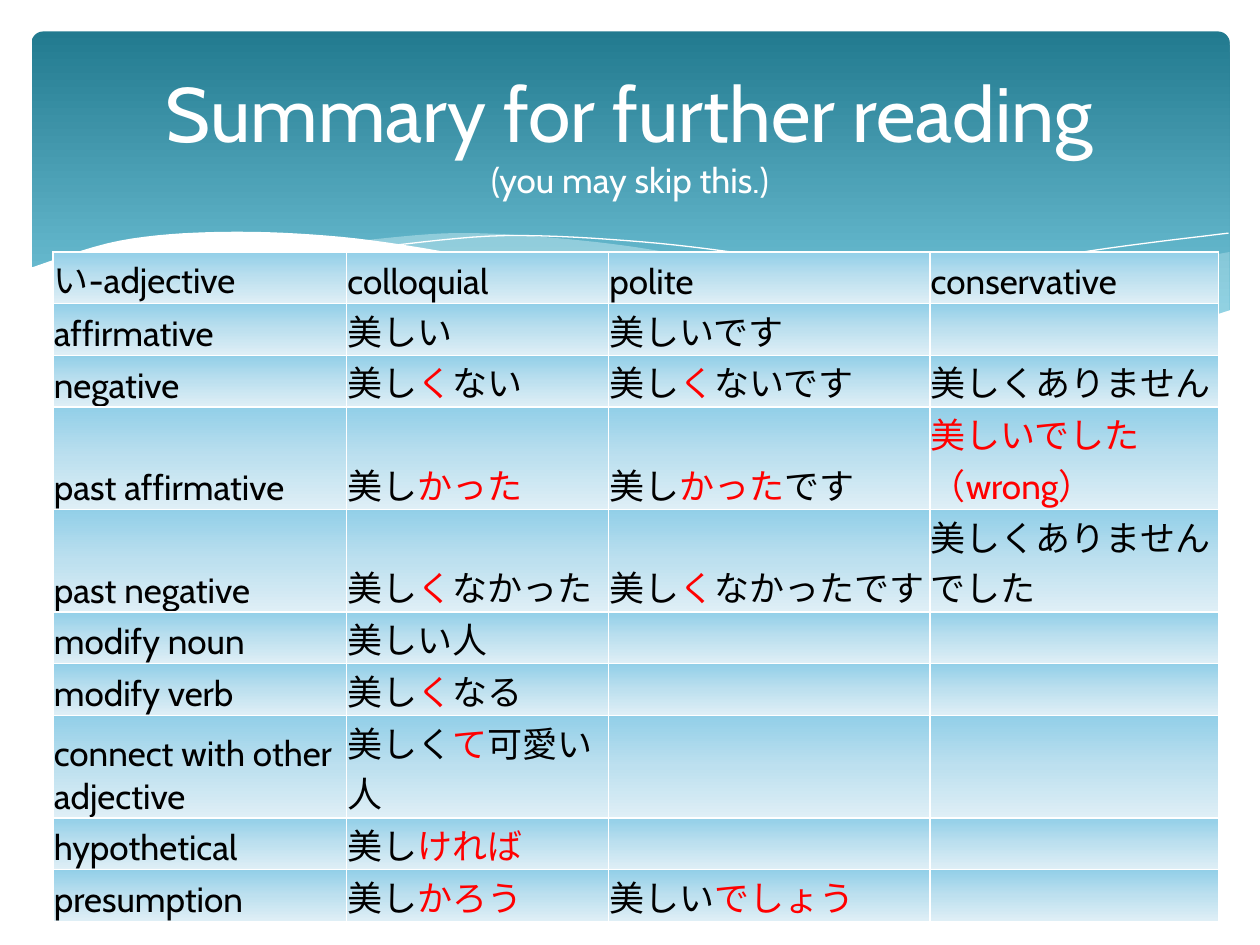
from lxml.etree import SubElement
from pptx import Presentation
from pptx.dml.color import RGBColor
from pptx.enum.shapes import MSO_SHAPE
from pptx.enum.text import MSO_ANCHOR, PP_ALIGN
from pptx.oxml.ns import qn
from pptx.util import Inches, Pt

THEME = dict(
    font="Cabin", title=44, body=20, white="FFFFFF", black="000000", red="FF0000", wave="DEF5FA",
    banner=[(0, "227A8F"), (90, "7ACBE0")],
    cell=[(0, "92CFE8"), (50, "BDE0EF"), (100, "DFEFF6")],
)
TITLE_LINES = [("Summary for further reading", "title"), ("(you may skip this.)", "body")]

# Text between bars is highlighted in red.
ROWS = [
    ("い-adjective", "colloquial", "polite", "conservative"),
    ("affirmative", "美しい", "美しいです", ""),
    ("negative", "美し|く|ない", "美し|く|ないです", "美しくありません"),
    ("past affirmative", "美し|かった|", "美し|かった|です", "|美しいでした（wrong）|"),
    ("past negative", "美し|く|なかった", "美し|く|なかったです", "美しくありませんでした"),
    ("modify noun", "美しい人", "", ""),
    ("modify verb", "美し|く|なる", "", ""),
    ("connect with other adjective", "美しく|て|可愛い人", "", ""),
    ("hypothetical", "美し|ければ|", "", ""),
    ("presumption", "美し|かろう|", "美しい|でしょう|", ""),
]
COL_WIDTHS = [2.33, 2.08, 2.55, 2.29]
ROW_HEIGHT = 0.38

# Each wave is a chain of edges; an edge is a smooth curve through a few knots, in inches.
# Filled waves have a fill and an opacity in percent; the others are thin white lines.
WAVES = [
    dict(fill="wave", opacity=29, edges=[  # right swell: crest, then underside
        [(9.76, 2), (9.06, 2.13), (8.32, 2.3), (7.53, 2.48), (6.61, 2.65)],
        [(6.61, 2.65), (7.19, 2.72), (7.81, 2.77), (8.44, 2.77), (9.05, 2.69), (9.76, 2.47)],
    ]),
    dict(fill="wave", opacity=40, edges=[  # middle swell: crest, then underside
        [(2.86, 1.91), (3.61, 1.85), (4.42, 1.89), (5.28, 2), (6.29, 2.22), (7.41, 2.47), (8.93, 2.73)],
        [(8.93, 2.73), (8.28, 2.78), (7.48, 2.76), (6.65, 2.66), (5.66, 2.48), (4.49, 2.22), (2.86, 1.91)],
    ]),
    dict(edges=[[(3.09, 1.95), (4.01, 1.87), (5.1, 1.92), (6.08, 2.04), (6.95, 2.19), (7.95, 2.41),
                 (9.07, 2.72)]]),
    dict(edges=[[(6.13, 2.57), (6.95, 2.35), (7.76, 2.16), (8.66, 1.99), (9.75, 1.85)]]),
    dict(fill="white", opacity=100, edges=[  # white foreground: crest, then flat floor
        [(0.23, 2.13), (0.95, 1.91), (1.77, 1.84), (2.71, 1.88), (3.65, 2.02), (4.47, 2.2), (5.55, 2.45),
         (6.48, 2.62), (7.26, 2.72), (8.09, 2.77), (8.99, 2.69), (9.77, 2.46)],
        [(9.77, 3.29), (0.23, 3.29)],
    ]),
]
CURVE_STEPS = 8


def rgb(value):
    return RGBColor.from_string(value)


def smooth(knots):
    """Return points on the Catmull-Rom curve through the knots."""
    ends = [knots[0], *knots, knots[-1]]
    points = [knots[0]]
    for before, start, end, after in zip(ends, ends[1:], ends[2:], ends[3:]):
        for step in range(1, CURVE_STEPS + 1):
            t = step / CURVE_STEPS
            points.append(tuple(
                b + ((c - a) * t + (2 * a - 5 * b + 4 * c - d) * t ** 2
                     + (3 * b - a - 3 * c + d) * t ** 3) / 2
                for a, b, c, d in zip(before, start, end, after)))
    return points


def add_color(parent, value):
    return SubElement(parent, qn("a:srgbClr"), val=value)


def add_gradient(props, stops):
    """Append a top-to-bottom gradient fill to a properties element."""
    grad = SubElement(props, qn("a:gradFill"), rotWithShape="1")
    stop_list = SubElement(grad, qn("a:gsLst"))
    for pos, color in stops:
        add_color(SubElement(stop_list, qn("a:gs"), pos=str(pos * 1000)), color)
    SubElement(grad, qn("a:lin"), ang="5400000", scaled="0")


def add_run(p, text, size, color):
    r = p.add_run()
    r.text = text
    for name, value in dict(name=THEME["font"], size=Pt(THEME[size])).items():
        setattr(r.font, name, value)
    r.font.color.rgb = rgb(THEME[color])


def add_banner(slide):
    sp = slide.shapes.add_shape(
        MSO_SHAPE.ROUNDED_RECTANGLE, Inches(0.25), Inches(0.25), Inches(9.51), Inches(2.7))
    sp.adjustments[0] = 0.034
    add_gradient(sp._element.spPr, THEME["banner"])
    sp.line.fill.background()
    sp.shadow.inherit = False


def add_wave(slide, edges, fill=None, opacity=100):
    points = [(Inches(x), Inches(y)) for edge in edges for x, y in smooth(edge)]
    builder = slide.shapes.build_freeform(*points[0])
    builder.add_line_segments(points[1:], close=fill is not None)
    sp = builder.convert_to_shape()
    sp.shadow.inherit = False
    if fill is None:
        sp.fill.background()
        sp.line.color.rgb = rgb(THEME["white"])
        sp.line.width = Pt(0)
        return
    sp.fill.solid()
    sp.fill.fore_color.rgb = rgb(THEME[fill])
    sp.line.fill.background()
    if opacity < 100:
        color = sp._element.spPr.find(qn("a:solidFill"))[0]
        SubElement(color, qn("a:alpha"), val=str(opacity * 1000))


def format_cell(cell):
    fmt = dict.fromkeys(("margin_left", "margin_right", "margin_top"), Pt(0.5))
    fmt.update(margin_bottom=0, vertical_anchor=MSO_ANCHOR.BOTTOM)
    for name, value in fmt.items():
        setattr(cell, name, value)
    props = cell._tc.get_or_add_tcPr()
    for side in "LRTB":
        ln = SubElement(props, qn(f"a:ln{side}"), w=str(Pt(1)))
        add_color(SubElement(ln, qn("a:solidFill")), THEME["white"])
    add_gradient(props, THEME["cell"])


def write_cell(cell, text):
    """Write the text, with every second part between bars in red."""
    p = cell.text_frame.paragraphs[0]
    p.font.size = Pt(THEME["body"])
    for i, part in enumerate(text.split("|")):
        if part:
            add_run(p, part, "body", "red" if i % 2 else "black")


def add_adjective_table(slide):
    table = slide.shapes.add_table(
        len(ROWS), len(COL_WIDTHS), Inches(0.42), Inches(2),
        Inches(sum(COL_WIDTHS)), Inches(ROW_HEIGHT * len(ROWS))).table
    table.first_row = table.horz_banding = False
    for col, width in zip(table.columns, COL_WIDTHS):
        col.width = Inches(width)
    for row, texts in zip(table.rows, ROWS):
        row.height = Inches(ROW_HEIGHT)
        for cell, text in zip(row.cells, texts):
            format_cell(cell)
            write_cell(cell, text)


def add_title(slide):
    tf = slide.shapes.add_textbox(Inches(0.5), Inches(0.37), Inches(9), Inches(1.37)).text_frame
    tf.word_wrap = True
    tf.vertical_anchor = MSO_ANCHOR.MIDDLE
    p = tf.paragraphs[0]
    p.alignment = PP_ALIGN.CENTER
    for i, (text, size) in enumerate(TITLE_LINES):
        if i:
            p.add_line_break()
        add_run(p, text, size, "white")


def main():
    prs = Presentation()
    prs.slide_width, prs.slide_height = Inches(10), Inches(7.5)
    slide = prs.slides.add_slide(prs.slide_layouts[6])
    add_banner(slide)
    for wave in WAVES:
        add_wave(slide, **wave)
    add_adjective_table(slide)
    add_title(slide)
    prs.save("out.pptx")


if __name__ == "__main__":
    main()
